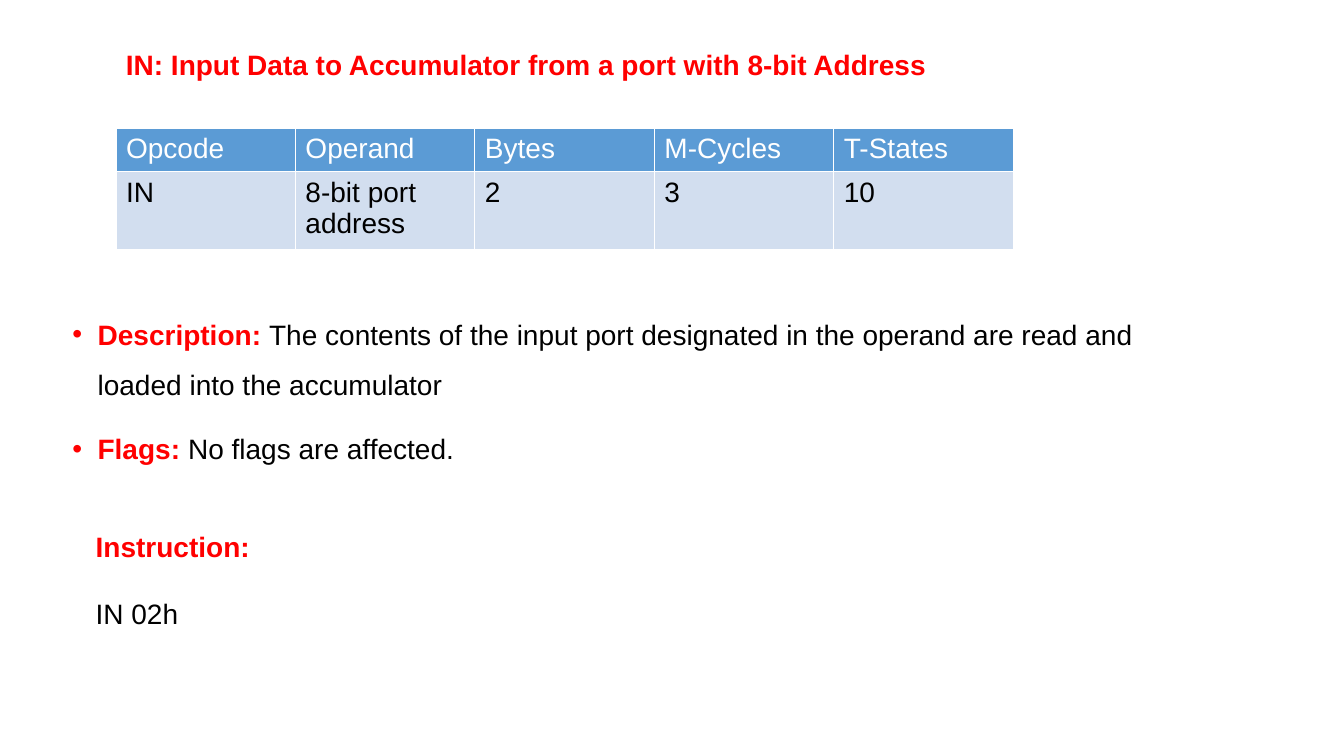
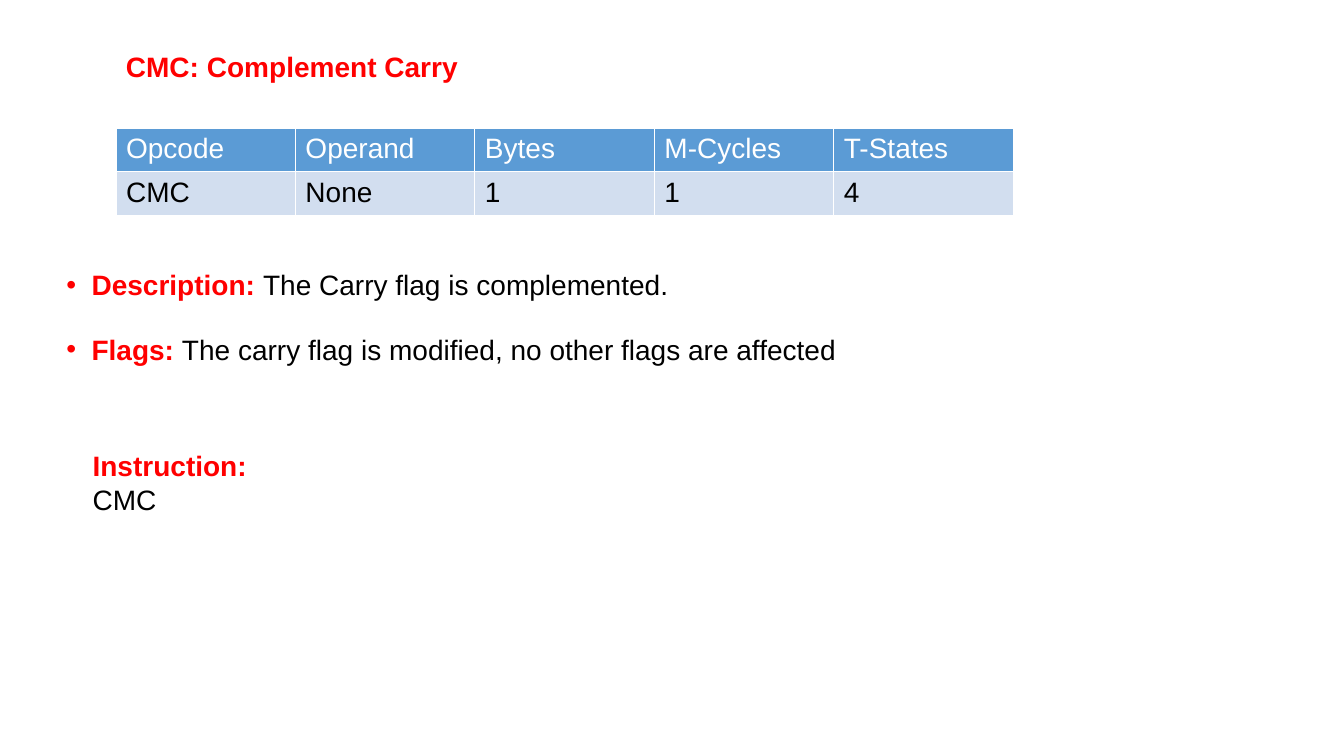
"""Builds two instruction-set reference slides, each with a title, table, notes and example."""
import pptx
import pptx.util
import pptx.dml.color
import pptx.enum.text
import pptx.oxml
import pptx.oxml.ns
import lxml.etree

Inches, Pt = pptx.util.Inches, pptx.util.Pt

COLORS = {"accent": "FF0000", "text": "000000", "light": "FFFFFF",
          "header": "5B9BD5", "row": "D2DEEF"}
FONT, SIZE = "Arial", 20
LEFT, TABLE_TOP, COLUMN_W = 1.15, 1.27, 1.78
HEADERS = ("Opcode", "Operand", "Bytes", "M-Cycles", "T-States")

SLIDES = [
    {"title": "IN: Input Data to Accumulator from a port with 8-bit Address",
     "title_top": 0.42,
     "values": ("IN", "8-bit port address", "2", "3", "10"),
     "row_heights": (0.43, 0.77),
     "notes": [("Description: ", "The contents of the input port designated in the "
                "operand are read and loaded into the accumulator"),
               ("Flags: ", "No flags are affected.")],
     "notes_box": (0.62, 2.93, 11.5, 1.76),
     "example": "IN 02h", "example_gap": 24,
     "example_box": (0.85, 5.2, 8.08, 1.11)},
    {"title": "CMC: Complement Carry",
     "title_top": 0.44,
     "values": ("CMC", "None", "1", "1", "4"),
     "row_heights": (0.43, 0.43),
     "notes": [("Description: ", "The Carry flag is complemented."),
               ("Flags: ", "The carry flag is modified, no other flags are affected")],
     "notes_box": (0.56, 2.44, 11.5, 1.25),
     "example": "CMC", "example_gap": 0,
     "example_box": (0.82, 4.4, 1.74, 0.77)},
]


def rgb(name):
    return pptx.dml.color.RGBColor.from_string(COLORS[name])


def add_run(p, text, color, bold=False):
    r = p.add_run()
    r.text = text
    r.font.name, r.font.size, r.font.bold = FONT, Pt(SIZE), bold
    r.font.color.rgb = rgb(color)


def add_text(s, box, paragraphs):
    tf = s.shapes.add_textbox(*map(Inches, box)).text_frame
    tf.word_wrap = True
    tf.auto_size = pptx.enum.text.MSO_AUTO_SIZE.SHAPE_TO_FIT_TEXT
    for i, runs in enumerate(paragraphs):
        p = tf.add_paragraph() if i else tf.paragraphs[0]
        for run in runs:
            add_run(p, *run)
    return tf


def add_bullet(p):
    p.line_spacing, p.space_before = 1.5, Pt(10)
    pPr = p._p.get_or_add_pPr()
    pPr.set("marL", str(Inches(0.25)))
    pPr.set("indent", str(Inches(-0.25)))
    for tag, key, value in (("buFont", "typeface", FONT), ("buChar", "char", "•")):
        lxml.etree.SubElement(pPr, pptx.oxml.ns.qn("a:" + tag)).set(key, value)


def add_borders(cell):
    tcPr = cell._tc.get_or_add_tcPr()
    for i, side in enumerate("LRTB"):
        tcPr.insert(i, pptx.oxml.parse_xml(
            f'<a:ln{side} {pptx.oxml.ns.nsdecls("a")} w="{Pt(1)}"><a:solidFill>'
            f'<a:srgbClr val="{COLORS["light"]}"/></a:solidFill></a:ln{side}>'))


def add_instruction_table(s, values, heights):
    table = s.shapes.add_table(
        2, len(HEADERS), Inches(LEFT), Inches(TABLE_TOP),
        Inches(COLUMN_W * len(HEADERS)), Inches(sum(heights))).table
    table.horz_banding = False
    for column in table.columns:
        column.width = Inches(COLUMN_W)
    styles = ((HEADERS, "header", "light"), (values, "row", "text"))
    for i, (texts, fill, color) in enumerate(styles):
        table.rows[i].height = Inches(heights[i])
        for j, text in enumerate(texts):
            cell = table.cell(i, j)
            cell.fill.solid()
            cell.fill.fore_color.rgb = rgb(fill)
            add_borders(cell)
            add_run(cell.text_frame.paragraphs[0], text, color)


prs = pptx.Presentation()
prs.slide_width, prs.slide_height = Inches(13.33), Inches(7.5)
for content in SLIDES:
    s = prs.slides.add_slide(prs.slide_layouts[6])
    add_text(s, (LEFT, content["title_top"], 8.72, 0.44),
             [[(content["title"], "accent", True)]])
    add_instruction_table(s, content["values"], content["row_heights"])
    notes = add_text(s, content["notes_box"],
                     [[(label, "accent", True), (text, "text")]
                      for label, text in content["notes"]])
    for p in notes.paragraphs:
        add_bullet(p)
    example = add_text(s, content["example_box"],
                       [[("Instruction:", "accent", True)],
                        [(content["example"], "text")]])
    example.paragraphs[1].space_before = Pt(content["example_gap"])
prs.save("out.pptx")
